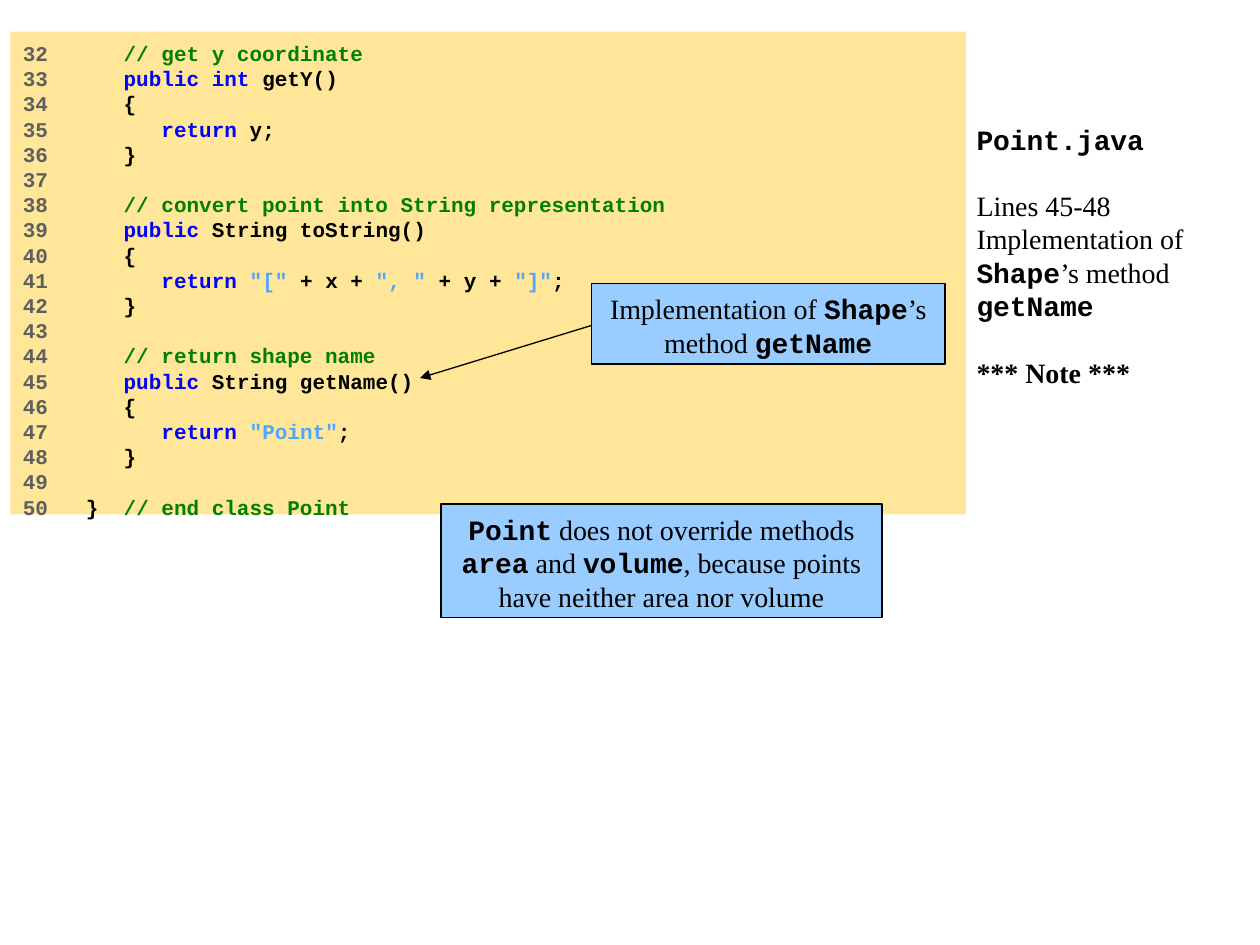
from dataclasses import dataclass

from lxml import etree
from pptx import Presentation
from pptx.dml.color import RGBColor
from pptx.enum.shapes import MSO_CONNECTOR, MSO_SHAPE
from pptx.enum.text import MSO_ANCHOR, MSO_AUTO_SIZE, PP_ALIGN
from pptx.oxml.ns import qn
from pptx.util import Pt

RECTANGLE = MSO_SHAPE.RECTANGLE
STRAIGHT = MSO_CONNECTOR.STRAIGHT
TOP = MSO_ANCHOR.TOP
NO_AUTOFIT = MSO_AUTO_SIZE.NONE
LEFT, CENTER = PP_ALIGN.LEFT, PP_ALIGN.CENTER
TITLE_ONLY = 5


@dataclass(frozen=True)
class Theme:
    """Colours, fonts and sizes of the slide."""

    black: str = "000000"
    number: str = "5F5F5F"
    comment: str = "008000"
    keyword: str = "0000FF"
    string: str = "4DA6FF"
    code_fill: str = "FFE699"
    callout_fill: str = "99CCFF"
    mono: str = "Courier New"
    serif: str = "Times New Roman"
    code_size: float = 12
    text_size: float = 16
    code_leading: float = 14.4
    note_gap: float = 18.6
    line_width: float = 0.75


THEME = Theme()


def code_style(color):
    """Return the format of one kind of code token."""
    return {"name": THEME.mono, "size": THEME.code_size, "bold": True, "color": color}


STYLES = {
    "number": code_style(THEME.number),
    "comment": code_style(THEME.comment),
    "keyword": code_style(THEME.keyword),
    "string": code_style(THEME.string),
    "plain": code_style(THEME.black),
    "text": {"name": THEME.serif, "size": THEME.text_size, "bold": False, "color": THEME.black},
    "strong": {"name": THEME.serif, "size": THEME.text_size, "bold": True, "color": THEME.black},
    "name": {"name": THEME.mono, "size": THEME.text_size, "bold": True, "color": THEME.black},
}

FIRST_LINE = 32
OPEN = [("plain", "   {")]
CLOSE = [("plain", "   }")]
CODE = [
    [("comment", "   // get y coordinate")],
    [("keyword", "   public int "), ("plain", "getY()")],
    OPEN,
    [("keyword", "      return"), ("plain", " y;")],
    CLOSE,
    [],
    [("comment", "   // convert point into String representation")],
    [("keyword", "   public"), ("plain", " String toString()")],
    OPEN,
    [("keyword", "      return"), ("string", ' "[" '), ("plain", "+ x + "),
     ("string", '", "'), ("plain", " + y + "), ("string", '"]"'), ("plain", ";")],
    CLOSE,
    [],
    [("comment", "   // return shape name")],
    [("keyword", "   public"), ("plain", " String getName()")],
    OPEN,
    [("keyword", "      return "), ("string", '"Point"'), ("plain", ";")],
    CLOSE,
    [],
    [("plain", "}  "), ("comment", "// end class Point")],
]

IMPLEMENTATION = [("text", "Implementation of "), ("name", "Shape"),
                  ("text", "’s method "), ("name", "getName")]
NO_OVERRIDE = [("name", "Point"), ("text", " does not override methods "),
               ("name", "area"), ("text", " and "), ("name", "volume"),
               ("text", ", because points have neither area nor volume")]
NOTES = [
    ([("name", "Point.java")], THEME.note_gap),
    ([("text", "Lines 45-48")], 0),
    (IMPLEMENTATION, THEME.note_gap),
    ([("strong", "*** Note ***")], 0),
]


def apply_format(target, values):
    """Set every attribute in values on the target."""
    for name, value in values.items():
        setattr(target, name, value)


def write_paragraphs(frame, paragraphs, frame_format):
    """Fill a text frame from pairs of runs and paragraph format."""
    apply_format(frame, {"word_wrap": True, "auto_size": NO_AUTOFIT,
                         "vertical_anchor": TOP, **frame_format})
    for index, (runs, paragraph_format) in enumerate(paragraphs):
        paragraph = frame.add_paragraph() if index else frame.paragraphs[0]
        apply_format(paragraph, paragraph_format)
        for style, text in runs:
            run = paragraph.add_run()
            run.text = text
            values = dict(STYLES[style])
            run.font.color.rgb = RGBColor.from_string(values.pop("color"))
            values["size"] = Pt(values["size"])
            apply_format(run.font, values)


def format_line(line):
    """Give an outline or connector the thin black stroke."""
    line.color.rgb = RGBColor.from_string(THEME.black)
    line.width = Pt(THEME.line_width)


def add_panel(slide, box, fill):
    """Add a filled rectangle without outline or shadow."""
    shape = slide.shapes.add_shape(RECTANGLE, *map(Pt, box))
    shape.shadow.inherit = False
    shape.fill.solid()
    shape.fill.fore_color.rgb = RGBColor.from_string(fill)
    shape.line.fill.background()
    return shape


def add_code(slide, box):
    """Add the numbered code listing."""
    shape = add_panel(slide, box, THEME.code_fill)
    paragraph_format = {"alignment": LEFT, "line_spacing": Pt(THEME.code_leading)}
    paragraphs = []
    for number, tokens in enumerate(CODE, FIRST_LINE):
        label = f"{number}   " if tokens else str(number)
        paragraphs.append(([("number", label), *tokens], paragraph_format))
    write_paragraphs(shape.text_frame, paragraphs, {"margin_top": Pt(5.2)})


def add_callout(slide, box, runs):
    """Add an outlined callout with centred text."""
    shape = add_panel(slide, box, THEME.callout_fill)
    format_line(shape.line)
    write_paragraphs(shape.text_frame, [(runs, {"alignment": CENTER})],
                     {"margin_top": Pt(4.6)})


def add_arrow(slide, start, end):
    """Add a straight arrow that points at the end."""
    arrow = slide.shapes.add_connector(STRAIGHT, *map(Pt, (*start, *end)))
    format_line(arrow.line)
    properties = arrow._element.spPr
    head = etree.SubElement(properties.find(qn("a:ln")), qn("a:tailEnd"))
    head.set("type", "triangle")
    etree.SubElement(properties, qn("a:effectLst"))


def set_title(slide, box):
    """Place the file name and its notes in the title placeholder."""
    title = slide.shapes.title
    apply_format(title, dict(zip(("left", "top", "width", "height"), map(Pt, box))))
    paragraphs = [(runs, {"alignment": LEFT, "space_after": Pt(gap)}) for runs, gap in NOTES]
    write_paragraphs(title.text_frame, paragraphs, {"margin_left": 0})


def main():
    """Build and save the slide."""
    presentation = Presentation()
    apply_format(presentation, {"slide_width": Pt(720), "slide_height": Pt(540)})
    slide = presentation.slides.add_slide(presentation.slide_layouts[TITLE_ONLY])
    set_title(slide, (558, 66.2, 162, 432))
    add_code(slide, (6, 18, 546, 276))
    add_callout(slide, (338, 162, 202, 46), IMPLEMENTATION)
    add_arrow(slide, (338, 186), (240, 216))
    add_callout(slide, (252, 288, 252, 65), NO_OVERRIDE)
    presentation.save("out.pptx")


if __name__ == "__main__":
    main()
